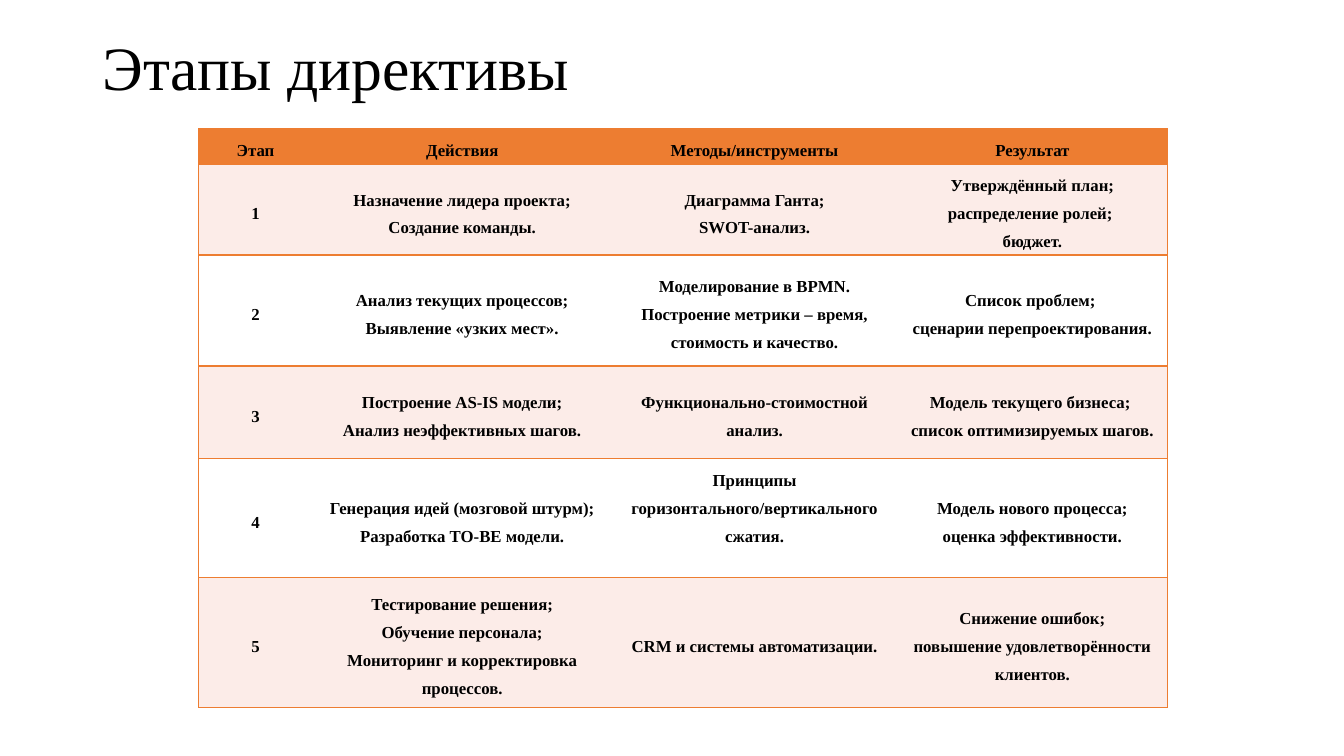
from lxml.etree import SubElement
from pptx import Presentation
from pptx.dml.color import RGBColor
from pptx.enum.text import MSO_ANCHOR as Anchor, PP_ALIGN as Align
from pptx.oxml.ns import qn
from pptx.util import Inches, Pt

BLACK = RGBColor(0x00, 0x00, 0x00)
WHITE = RGBColor(0xFF, 0xFF, 0xFF)
ORANGE = RGBColor(0xED, 0x7D, 0x31)
BLUSH = RGBColor(0xFC, 0xEC, 0xE8)
NO_GRID_STYLE = "{2D5ABB26-0587-4C30-8999-92F81FD0307C}"

# Table content: "\n" starts a paragraph, "\v" breaks a line
STAGES = [
    ("Этап", "Действия", "Методы/инструменты", "Результат"),
    ("1", "Назначение лидера проекта;\nСоздание команды.",
     "Диаграмма Ганта;\nSWOT-анализ.",
     "Утверждённый план; распределение ролей; \vбюджет."),
    ("2", "Анализ текущих процессов;\nВыявление «узких мест».",
     "Моделирование в BPMN.\nПостроение метрики – время, стоимость и качество.",
     "Список проблем; \vсценарии перепроектирования."),
    ("3", "Построение AS-IS модели;\nАнализ неэффективных шагов.",
     "Функционально-стоимостной анализ.",
     "Модель текущего бизнеса; \vсписок оптимизируемых шагов."),
    ("4", "Генерация идей (мозговой штурм);\nРазработка TO-BE модели.",
     "Принципы горизонтального/вертикального сжатия.",
     "Модель нового процесса;\nоценка эффективности."),
    ("5", "Тестирование решения;\nОбучение персонала;\n"
          "Мониторинг и корректировка процессов.",
     "CRM и системы автоматизации.",
     "Снижение ошибок;\nповышение удовлетворённости клиентов."),
]
COLUMN_WIDTHS = [1.13, 2.97, 2.83, 2.68]
ROW_HEIGHTS = [0.35, 0.73, 1.1, 0.92, 1.17, 1.29]


class SlideBuilder:
    """Holds the text style and the current slide."""

    font_name = "Times New Roman"

    def __init__(self, page):
        self.page = page

    def style_text(self, frame, size, spacing, align, bold=False):
        frame.word_wrap = True
        for para in frame.paragraphs:
            para.alignment = align
            para.line_spacing = spacing
            para.font.name = self.font_name
            para.font.size = Pt(size)
            para.font.bold = bold
            para.font.color.rgb = BLACK

    def title(self, text, left, top, width, height):
        box = self.page.shapes.add_textbox(
            Inches(left), Inches(top), Inches(width), Inches(height))
        frame = box.text_frame
        frame.text = text
        frame.vertical_anchor = Anchor.MIDDLE
        self.style_text(frame, 44, 0.9, Align.LEFT)

    def borders(self, cell, sides):
        properties = cell._tc.get_or_add_tcPr()
        for side in sides:
            line = SubElement(properties, qn(f"a:ln{side}"), w=str(Pt(1)))
            fill = SubElement(line, qn("a:solidFill"))
            SubElement(fill, qn("a:srgbClr"), val=str(ORANGE))

    def cell(self, cell, text, color, sides):
        cell.text_frame.text = text
        cell.vertical_anchor = Anchor.MIDDLE
        cell.margin_left = cell.margin_right = Inches(0.04)
        cell.margin_top = cell.margin_bottom = 0
        self.style_text(cell.text_frame, 12, 1.5, Align.CENTER, bold=True)
        # Borders must precede the fill in the cell properties
        self.borders(cell, sides)
        cell.fill.solid()
        cell.fill.fore_color.rgb = color

    def table(self, rows, left, top, widths, heights):
        table = self.page.shapes.add_table(
            len(rows), len(widths), Inches(left), Inches(top),
            Inches(sum(widths)), Inches(sum(heights))).table
        table.first_row = table.horz_banding = False
        table._tbl.tblPr.find(qn("a:tableStyleId")).text = NO_GRID_STYLE
        for column, width in zip(table.columns, widths):
            column.width = Inches(width)
        last = len(widths) - 1
        for r, (texts, height) in enumerate(zip(rows, heights)):
            table.rows[r].height = Inches(height)
            color = ORANGE if r == 0 else BLUSH if r % 2 else WHITE
            for c, text in enumerate(texts):
                sides = {0: "LTB", last: "RTB"}.get(c, "TB")
                self.cell(table.cell(r, c), text, color, sides)
        return table


def main():
    deck = Presentation()
    deck.slide_width, deck.slide_height = Inches(13.33), Inches(7.5)
    builder = SlideBuilder(deck.slides.add_slide(deck.slide_layouts[6]))

    # Heading
    builder.title("Этапы директивы", 0.92, 0.02, 11.5, 1.35)

    # Stages table; the methods of stage 4 sit one line higher
    stages = builder.table(STAGES, 1.97, 1.28, COLUMN_WIDTHS, ROW_HEIGHTS)
    stages.cell(4, 2).margin_bottom = Inches(0.28)

    deck.save("out.pptx")


if __name__ == "__main__":
    main()
